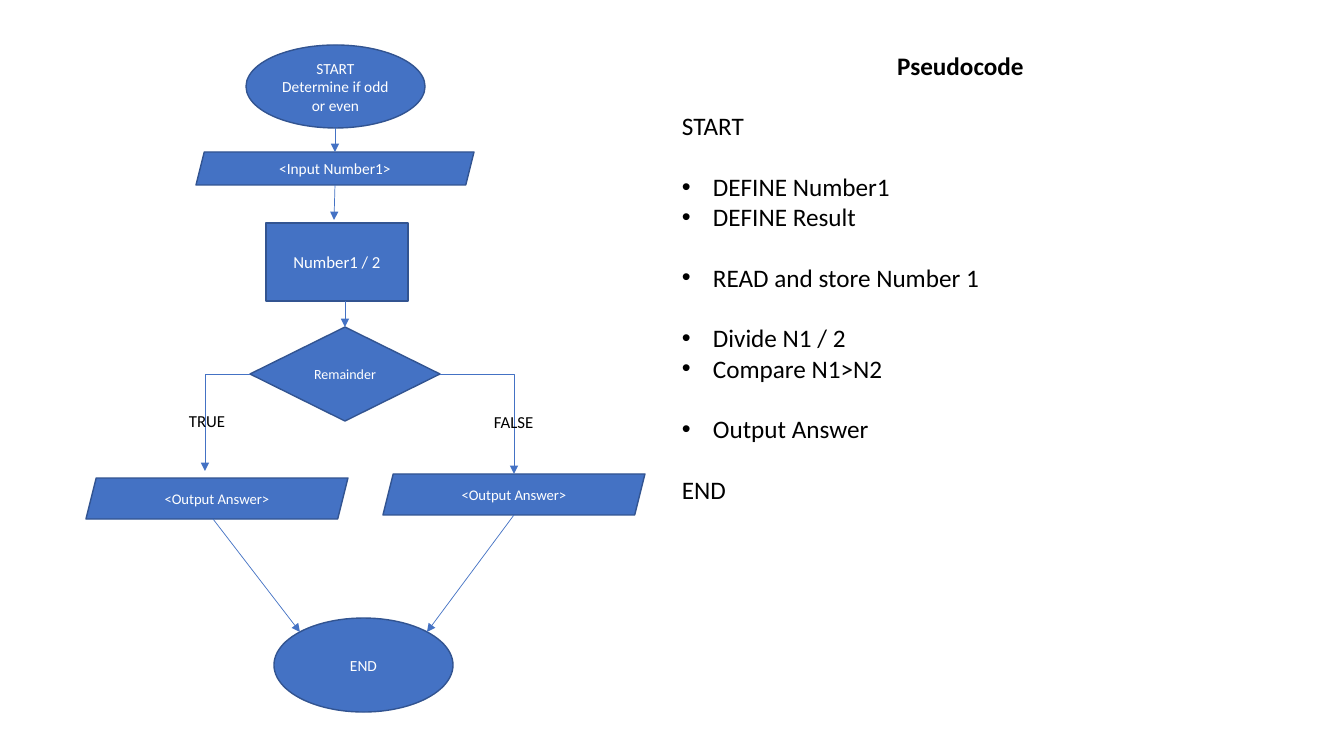
from lxml.etree import SubElement
from pptx import Presentation
from pptx.dml.color import RGBColor
from pptx.enum.shapes import MSO_CONNECTOR, MSO_SHAPE
from pptx.enum.text import MSO_ANCHOR, PP_ALIGN
from pptx.oxml.ns import qn
from pptx.util import Pt

SCALE = 914400 / 100.8


def emu(pixels):
    return round(pixels * SCALE)


def color(value):
    return RGBColor.from_string(value)


def apply(target, values):
    for name, value in values.items():
        setattr(target, name, value)


class Flowchart:
    font = "Calibri"
    fill = "4472C4"
    outline = "325491"
    light = "FFFFFF"
    dark = "000000"

    def __init__(self, page):
        self.page = page

    def add_span(self, para, text, size, ink, **font_format):
        span = para.add_run()
        span.text = text
        apply(span.font, {"name": self.font, "size": Pt(size), **font_format})
        span.font.color.rgb = color(ink)

    def node(self, kind, bounds, lines, size):
        box = self.page.shapes.add_shape(kind, *map(emu, bounds))
        box.shadow.inherit = False
        box.fill.solid()
        box.fill.fore_color.rgb = color(self.fill)
        box.line.color.rgb = color(self.outline)
        box.line.width = Pt(1)
        frame = box.text_frame
        apply(frame, {"word_wrap": True, "vertical_anchor": MSO_ANCHOR.MIDDLE})
        for index, line in enumerate(lines):
            para = frame.add_paragraph() if index else frame.paragraphs[0]
            para.alignment = PP_ALIGN.CENTER
            self.add_span(para, line, size, self.light)

    def arrow(self, points, bent=False):
        kind = MSO_CONNECTOR.ELBOW if bent else MSO_CONNECTOR.STRAIGHT
        link = self.page.shapes.add_connector(kind, *map(emu, points))
        link.line.color.rgb = color(self.fill)
        link.line.width = Pt(0.5)
        properties = link._element.spPr
        SubElement(properties.find(qn("a:ln")), qn("a:tailEnd"), type="triangle")
        SubElement(properties, qn("a:effectLst"))
        if bent:
            properties.find(qn("a:prstGeom")).set("prst", "bentConnector2")

    def text_frame(self, bounds):
        box = self.page.shapes.add_textbox(*map(emu, bounds))
        box.text_frame.word_wrap = True
        return box.text_frame

    def label(self, bounds, text):
        frame = self.text_frame(bounds)
        self.add_span(frame.paragraphs[0], text, 12, self.dark)

    def bullet(self, para):
        properties = para._p.get_or_add_pPr()
        properties.set("marL", str(emu(31)))
        properties.set("indent", str(-emu(31)))
        SubElement(properties, qn("a:buFont"), typeface="Arial")
        SubElement(properties, qn("a:buChar"), char="•")

    def pseudocode(self, bounds, title, groups):
        frame = self.text_frame(bounds)
        heading = frame.paragraphs[0]
        heading.alignment = PP_ALIGN.CENTER
        self.add_span(heading, title, 18, self.dark, bold=True)
        for bulleted, lines in groups:
            for index, line in enumerate(lines):
                para = frame.add_paragraph()
                para.space_before = Pt(0 if index else 21.7)
                if bulleted:
                    self.bullet(para)
                self.add_span(para, line, 18, self.dark)


deck = Presentation()
apply(deck, {"slide_width": emu(1344), "slide_height": emu(756)})
chart = Flowchart(deck.slides.add_slide(deck.slide_layouts[6]))

NODES = [
    (MSO_SHAPE.OVAL, (246, 45, 179, 83), ["START", "Determine if odd or even"], 11),
    (MSO_SHAPE.PARALLELOGRAM, (196, 152, 278, 33), ["<Input Number1>"], 11),
    (MSO_SHAPE.RECTANGLE, (266, 223, 142, 78), ["Number1 / 2"], 12),
    (MSO_SHAPE.DIAMOND, (250, 327, 190, 94), ["Remainder"], 10),
    (MSO_SHAPE.PARALLELOGRAM, (86, 478, 262, 41), ["<Output Answer>"], 10.5),
    (MSO_SHAPE.PARALLELOGRAM, (383, 474, 262, 41), ["<Output Answer>"], 10.5),
    (MSO_SHAPE.OVAL, (274, 618, 179, 94), ["END"], 11),
]
for node in NODES:
    chart.node(*node)

STRAIGHT_ARROWS = [
    (335, 128, 335, 152),
    (335, 185, 334, 220),
    (345, 301, 345, 327),
    (213, 519, 300, 632),
    (514, 515, 427, 632),
]
for points in STRAIGHT_ARROWS:
    chart.arrow(points)
for points in [(250, 374, 205, 471), (440, 374, 514, 474)]:
    chart.arrow(points, bent=True)

chart.label((179, 406, 96, 30), "TRUE")
chart.label((484, 407, 96, 30), "FALSE")

chart.pseudocode((672, 45, 577, 529), "Pseudocode", [
    (False, ["START"]),
    (True, ["DEFINE Number1", "DEFINE Result"]),
    (True, ["READ and store Number 1"]),
    (True, ["Divide N1 / 2", "Compare N1>N2"]),
    (True, ["Output Answer"]),
    (False, ["END"]),
])

deck.save("out.pptx")
